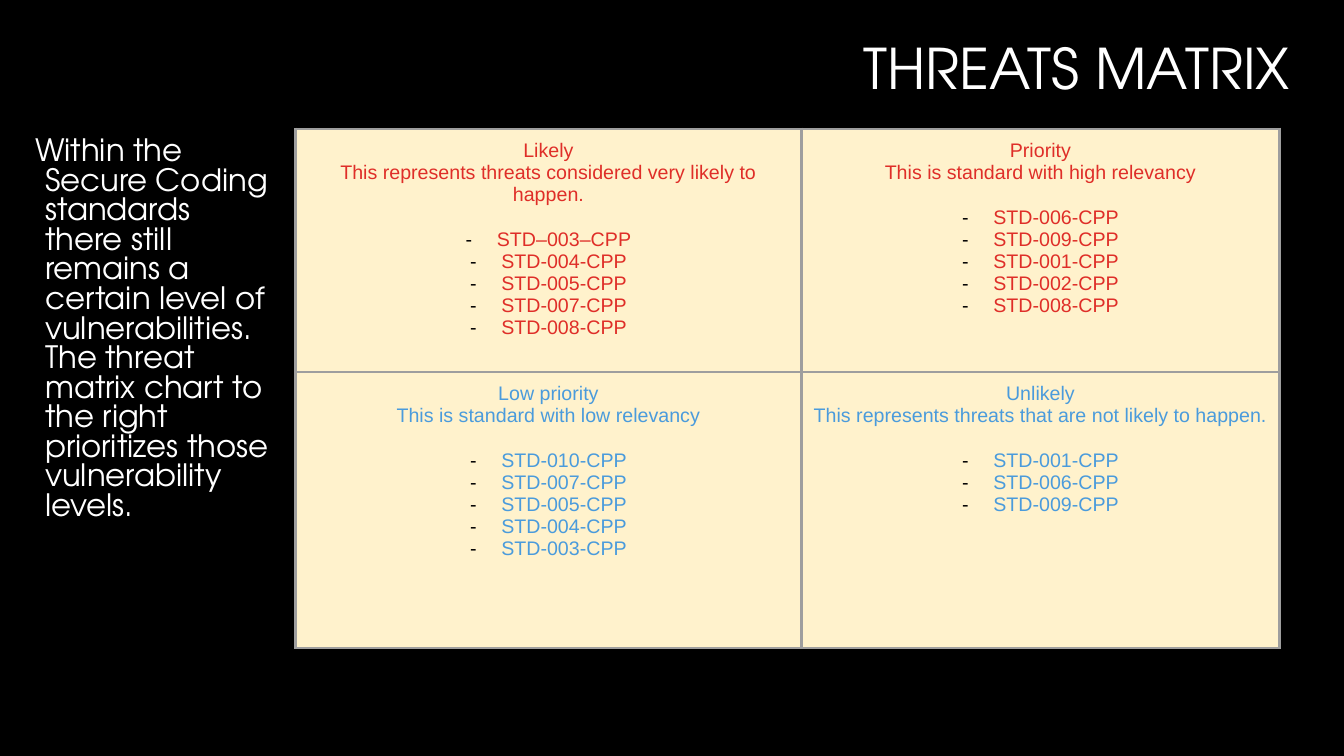
from lxml import etree
from pptx import Presentation
from pptx.dml.color import RGBColor
from pptx.enum.text import MSO_ANCHOR, PP_ALIGN
from pptx.oxml.ns import qn
from pptx.util import Inches, Pt

CENTER, RIGHT, LEFT = PP_ALIGN.CENTER, PP_ALIGN.RIGHT, PP_ALIGN.LEFT
MIDDLE, TOP = MSO_ANCHOR.MIDDLE, MSO_ANCHOR.TOP

BLACK = RGBColor(0x00, 0x00, 0x00)
WHITE = RGBColor(0xFF, 0xFF, 0xFF)
RED = RGBColor(0xDF, 0x2E, 0x28)
BLUE = RGBColor(0x4A, 0x9B, 0xDC)
CREAM = RGBColor(0xFF, 0xF2, 0xCC)
GREY = RGBColor(0x9E, 0x9E, 0x9E)

HEADING_FONT = "TeX Gyre Adventor"
TABLE_FONT = "Arial"

INTRODUCTION = (
    "Within the Secure Coding standards there still remains a certain level of "
    "vulnerabilities. The threat matrix chart to the right prioritizes those "
    "vulnerability levels."
)

# Each quadrant: heading, description, standards
THREATS = [
    [
        ("Likely", "This represents threats considered very likely to happen.",
         ["STD–003–CPP", "STD-004-CPP", "STD-005-CPP", "STD-007-CPP", "STD-008-CPP"]),
        ("Priority", "This is standard with high relevancy",
         ["STD-006-CPP", "STD-009-CPP", "STD-001-CPP", "STD-002-CPP", "STD-008-CPP"]),
    ],
    [
        ("Low priority", "This is standard with low relevancy",
         ["STD-010-CPP", "STD-007-CPP", "STD-005-CPP", "STD-004-CPP", "STD-003-CPP"]),
        ("Unlikely", "This represents threats that are not likely to happen.",
         ["STD-001-CPP", "STD-006-CPP", "STD-009-CPP"]),
    ],
]
ROW_COLORS = [RED, BLUE]
COLUMN_WIDTHS = [5.02, 4.74]
ROW_HEIGHTS = [2.41, 2.74]


def add_run(paragraph, text, font_name, size, color):
    run = paragraph.add_run()
    run.text = text
    run.font.name = font_name
    run.font.size = Pt(size)
    run.font.color.rgb = color


def set_indent(paragraph, margin, first_line):
    properties = paragraph._p.get_or_add_pPr()
    properties.set("marL", str(Inches(margin)))
    properties.set("indent", str(Inches(first_line)))
    return properties


def add_dash_bullet(paragraph):
    properties = set_indent(paragraph, 0.31, -0.31)
    bullet_color = etree.SubElement(properties, qn("a:buClr"))
    etree.SubElement(bullet_color, qn("a:srgbClr"), val=str(BLACK))
    etree.SubElement(properties, qn("a:buFont"), typeface=TABLE_FONT)
    etree.SubElement(properties, qn("a:buChar"), char="-")


def set_borders(cell):
    properties = cell._tc.get_or_add_tcPr()
    # Border lines come before the fill in the cell properties
    for position, side in enumerate(("lnL", "lnR", "lnT", "lnB")):
        line = etree.Element(qn(f"a:{side}"), w=str(Pt(2.25)))
        fill = etree.SubElement(line, qn("a:solidFill"))
        etree.SubElement(fill, qn("a:srgbClr"), val=str(GREY))
        properties.insert(position, line)


def add_text(slide, box, text, size, alignment, anchor, line_spacing):
    shape = slide.shapes.add_textbox(*map(Inches, box))
    frame = shape.text_frame
    frame.word_wrap = True
    frame.vertical_anchor = anchor
    paragraph = frame.paragraphs[0]
    paragraph.alignment = alignment
    paragraph.line_spacing = line_spacing
    add_run(paragraph, text, HEADING_FONT, size, WHITE)
    return paragraph


def add_title(slide, box):
    add_text(slide, box, "THREATS MATRIX", 40, RIGHT, MIDDLE, 0.9)


def add_introduction(slide, box):
    paragraph = add_text(slide, box, INTRODUCTION, 22, LEFT, TOP, 0.8)
    paragraph.space_before = Pt(10)
    set_indent(paragraph, 0.25, -0.1)


def fill_quadrant(cell, heading, description, standards, color):
    cell.fill.solid()
    cell.fill.fore_color.rgb = CREAM
    cell.margin_left = cell.margin_right = Inches(0.11)
    cell.margin_top = cell.margin_bottom = Inches(0.11)
    set_borders(cell)
    frame = cell.text_frame
    for index, text in enumerate([heading, description, *standards]):
        paragraph = frame.add_paragraph() if index else frame.paragraphs[0]
        paragraph.alignment = CENTER
        if index == 2:  # gap above the list
            paragraph.space_before = Pt(16)
        if index >= 2:
            add_dash_bullet(paragraph)
        add_run(paragraph, text, TABLE_FONT, 14, color)


def add_threat_matrix(slide, left, top):
    size = (sum(COLUMN_WIDTHS), sum(ROW_HEIGHTS))
    frame = slide.shapes.add_table(2, 2, *map(Inches, (left, top, *size)))
    table = frame.table
    table.first_row = False
    table.horz_banding = False
    for column, width in zip(table.columns, COLUMN_WIDTHS):
        column.width = Inches(width)
    for row, height in zip(table.rows, ROW_HEIGHTS):
        row.height = Inches(height)
    for row, quadrants, color in zip(table.rows, THREATS, ROW_COLORS):
        for cell, quadrant in zip(row.cells, quadrants):
            fill_quadrant(cell, *quadrant, color)


def main():
    presentation = Presentation()
    presentation.slide_width = Inches(13.33)
    presentation.slide_height = Inches(7.5)
    slide = presentation.slides.add_slide(presentation.slide_layouts[6])
    slide.background.fill.solid()
    slide.background.fill.fore_color.rgb = BLACK

    add_title(slide, (3.47, 0, 9.42, 1.41))
    add_introduction(slide, (0.1, 1.32, 2.72, 4.4))
    add_threat_matrix(slide, 2.93, 1.28)
    presentation.save("out.pptx")


if __name__ == "__main__":
    main()
